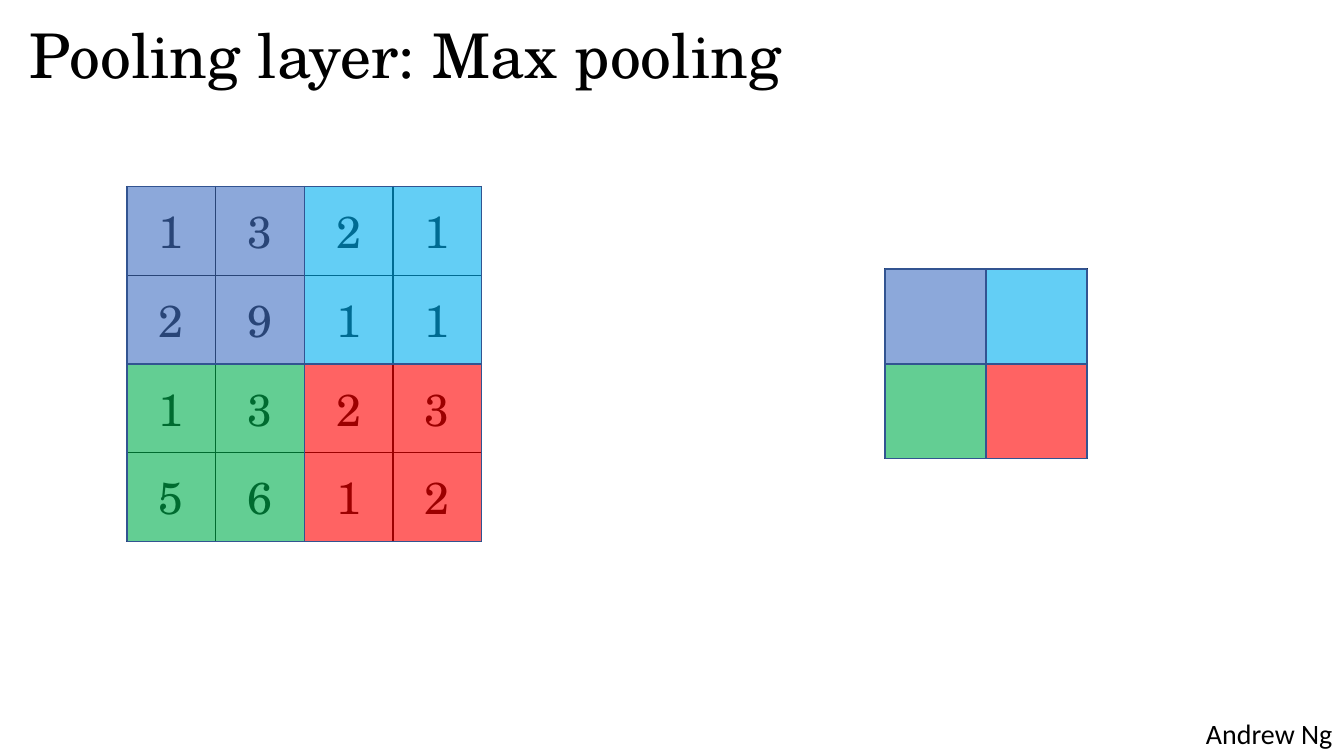
import pptx
import pptx.util
import pptx.dml.color
import pptx.enum.shapes
import pptx.enum.text
import pptx.oxml
import pptx.oxml.ns

Cm = pptx.util.Cm
Pt = pptx.util.Pt
Align = pptx.enum.text.PP_ALIGN
Anchor = pptx.enum.text.MSO_ANCHOR

SERIF = "TeX Gyre Schola"
COLORS = {"ink": "000000", "edge": "325491", "blue": "4472C4",
          "sky": "00B0F0", "green": "00B050", "red": "FF0000"}
ZONES = [["blue", "sky"], ["green", "red"]]
INPUT = ["1321", "2911", "1323", "5612"]
OUTPUT = ["  ", "  "]


def rgb(name):
    return pptx.dml.color.RGBColor.from_string(COLORS[name])


def write(frame, words, size=18, font=SERIF, color="ink", align=Align.LEFT, space=1.0):
    para = frame.paragraphs[0]
    para.alignment = align
    para.line_spacing = space
    run = para.add_run()
    run.text = words
    run.font.size = Pt(size)
    run.font.name = font
    run.font.color.rgb = rgb(color)


def border(cell):
    props = cell._tc.get_or_add_tcPr()
    for side in "LRTB":
        props.append(pptx.oxml.parse_xml(
            f'<a:ln{side} {pptx.oxml.ns.nsdecls("a")} w="12700"><a:solidFill>'
            f'<a:srgbClr val="{COLORS["ink"]}"/></a:solidFill></a:ln{side}>'))


# Title at the top left
def head(slide, left, top, width, height):
    title = slide.shapes.title
    title.left, title.top, title.width, title.height = left, top, width, height
    title.text_frame.vertical_anchor = Anchor.TOP
    write(title.text_frame, "Pooling layer: Max pooling", size=44, space=0.9)


# Name at the bottom right
def foot(slide, left, top, width, height):
    frame = slide.shapes.add_textbox(left, top, width, height).text_frame
    frame.word_wrap = False
    write(frame, "Andrew Ng", size=20, font="Calibri")


# Number grid
def grid(slide, rows, left, top, width, height):
    count = len(rows)
    table = slide.shapes.add_table(count, count, left, top, width, height).table
    table.first_row = table.horz_banding = False
    for row, digits in enumerate(rows):
        table.rows[row].height = height // count
        for col, digit in enumerate(digits):
            cell = table.cell(row, col)
            cell.vertical_anchor = Anchor.MIDDLE
            border(cell)
            cell.fill.background()
            if digit.strip():
                write(cell.text_frame, digit, size=32, align=Align.CENTER)


# Four tinted zones over a grid
def tint(slide, left, top, width, height):
    group = slide.shapes.add_group_shape()
    wide, high = width // 2, height // 2
    for row, names in enumerate(ZONES):
        for col, name in enumerate(names):
            zone = group.shapes.add_shape(
                pptx.enum.shapes.MSO_SHAPE.RECTANGLE,
                left + col * wide, top + row * high, wide, high)
            zone.shadow.inherit = False
            zone.fill.solid()
            zone.fill.fore_color.rgb = rgb(name)
            shade = zone.fill._xPr.find(".//" + pptx.oxml.ns.qn("a:srgbClr"))
            shade.append(pptx.oxml.parse_xml(
                f'<a:alpha {pptx.oxml.ns.nsdecls("a")} val="61000"/>'))
            zone.line.color.rgb = rgb("edge")
            zone.line.width = Pt(1)


def main():
    deck = pptx.Presentation()
    deck.slide_width, deck.slide_height = Cm(33.87), Cm(19.05)
    slide = deck.slides.add_slide(deck.slide_layouts[5])
    foot(slide, Cm(30.14), Cm(17.93), Cm(3.73), Cm(1.11))
    head(slide, Cm(0.5), Cm(0.5), Cm(29.2), Cm(3.7))
    source = Cm(3.2), Cm(4.7), Cm(8.94), Cm(8.94)
    pooled = Cm(22.3), Cm(6.78), Cm(5.1), Cm(4.78)
    for rows, box in ((INPUT, source), (OUTPUT, pooled)):
        grid(slide, rows, *box)
        tint(slide, *box)
    deck.save("out.pptx")


if __name__ == "__main__":
    main()
